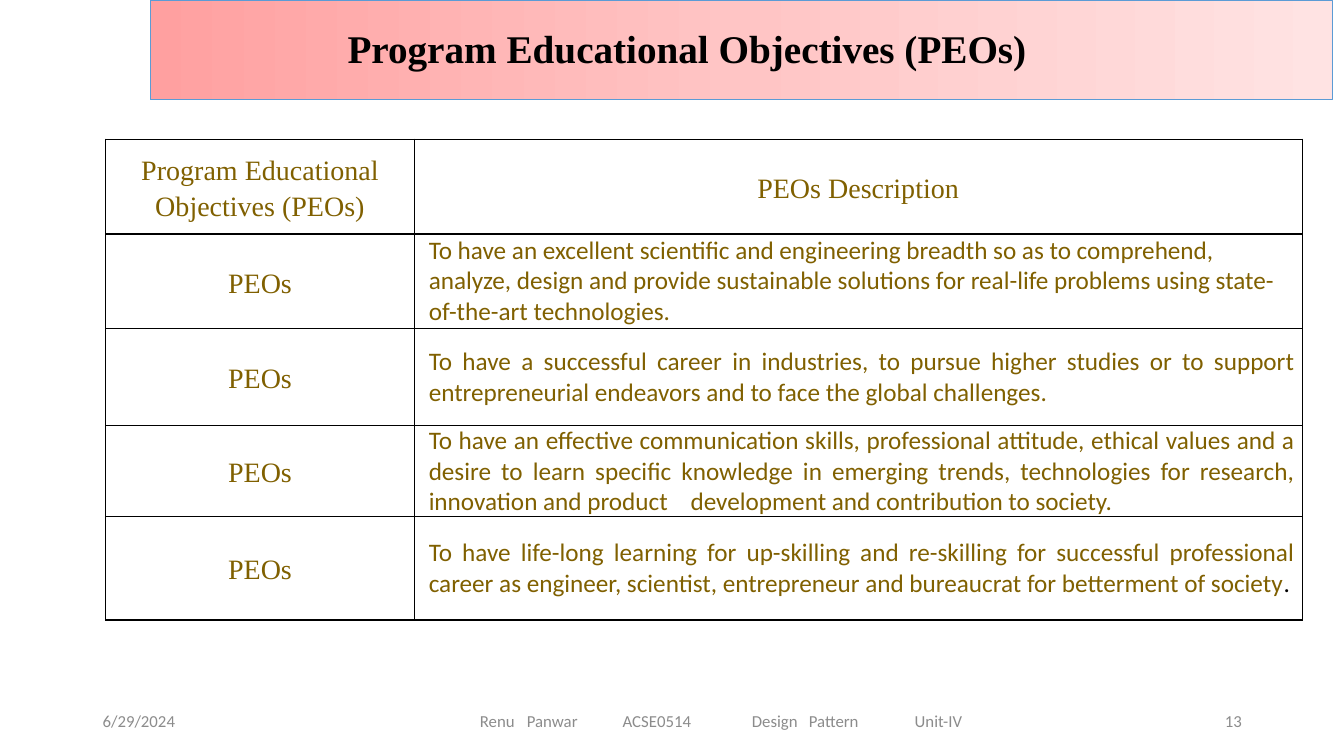
from dataclasses import dataclass

from lxml import etree
from pptx import Presentation
from pptx import util as u
from pptx.dml.color import RGBColor
from pptx.enum import shapes, text
from pptx.oxml.ns import qn


@dataclass
class Theme:
    """Colours, fonts and type sizes of the slide."""
    black: str = "000000"
    white: str = "FFFFFF"
    olive: str = "806000"
    grey: str = "8C8C8C"
    blue: str = "5B9BD5"
    banner: tuple = ((0, "FFA0A0"), (50, "FFC5C5"), (100, "FFE3E3"))
    serif: str = "Times New Roman"
    sans: str = "Calibri"
    title: int = 28
    label: int = 20
    body: int = 18
    footer: int = 12


class Deck:
    """Draws styled elements on one slide, measured in points."""

    def __init__(self, theme, width, height):
        """Open a presentation with one blank slide."""
        self.theme = theme
        self.prs = Presentation()
        self.prs.slide_width, self.prs.slide_height = u.Pt(width), u.Pt(height)
        self.slide = self.prs.slides.add_slide(self.prs.slide_layouts[6])

    def add_runs(self, paragraph, runs, font, size, align, tabs=(), bold=False):
        """Fill a paragraph with (wording, colour) runs."""
        paragraph.alignment = align
        if tabs:
            tab_list = etree.SubElement(paragraph._p.get_or_add_pPr(), qn("a:tabLst"))
            for stop in tabs:
                etree.SubElement(tab_list, qn("a:tab"), pos=str(u.Pt(stop)), algn="l")
        for wording, colour in runs:
            run = paragraph.add_run()
            run.text = wording
            run.font.name, run.font.size, run.font.bold = font, u.Pt(size), bold
            run.font.color.rgb = RGBColor.from_string(colour)

    def banner(self, *place):
        """Draw the gradient band behind the title."""
        band = self.slide.shapes.add_shape(shapes.MSO_SHAPE.RECTANGLE, *map(u.Pt, place))
        band.shadow.inherit = False
        band.fill.gradient()
        band.fill.gradient_angle = 0
        stops = band._element.spPr.find(".//" + qn("a:gsLst"))
        stops.clear()
        for percent, colour in self.theme.banner:
            stop = etree.SubElement(stops, qn("a:gs"), pos=str(percent * 1000))
            etree.SubElement(stop, qn("a:srgbClr"), val=colour)
        band.line.color.rgb = RGBColor.from_string(self.theme.blue)
        band.line.width = u.Pt(0.5)

    def text_box(self, place):
        """Add an empty wrapping text frame."""
        frame = self.slide.shapes.add_textbox(*map(u.Pt, place)).text_frame
        frame.word_wrap = True
        return frame

    def title(self, wording, *place):
        """Set the slide title."""
        frame = self.text_box(place)
        frame.auto_size = text.MSO_AUTO_SIZE.SHAPE_TO_FIT_TEXT
        heading = frame.paragraphs[0]
        heading.line_spacing, heading.space_after = 1.07, u.Pt(8)
        self.add_runs(heading, [(wording, self.theme.black)], self.theme.serif,
                      self.theme.title, text.PP_ALIGN.CENTER, bold=True)

    def footer(self, wording, left, width, align, inset=7.2, tabs=()):
        """Set one part of the footer line."""
        frame = self.text_box((left, 500.4, width, 28.8))
        frame.vertical_anchor = text.MSO_ANCHOR.MIDDLE
        frame.margin_left = u.Pt(inset)
        self.add_runs(frame.paragraphs[0], [(wording, self.theme.grey)], self.theme.sans,
                      self.theme.footer, align, tabs)

    def cell(self, cell, runs, font, size, align, inset=5.2, spacing=1.0, tabs=()):
        """Fill and frame one table cell."""
        cell.vertical_anchor = text.MSO_ANCHOR.MIDDLE
        cell.margin_left, cell.margin_right = u.Pt(inset), u.Pt(5.2)
        cell.margin_top = cell.margin_bottom = 0
        cell.fill.solid()
        cell.fill.fore_color.rgb = RGBColor.from_string(self.theme.white)
        properties = cell._tc.get_or_add_tcPr()
        for position, side in enumerate(("a:lnL", "a:lnR", "a:lnT", "a:lnB")):
            border = etree.Element(qn(side), w=str(u.Pt(1)))
            solid = etree.SubElement(border, qn("a:solidFill"))
            etree.SubElement(solid, qn("a:srgbClr"), val=self.theme.black)
            properties.insert(position, border)
        paragraph = cell.text_frame.paragraphs[0]
        paragraph.line_spacing = spacing
        self.add_runs(paragraph, runs, font, size, align, tabs)

    def objectives(self, headings, label, descriptions, left, top, widths, heights):
        """Build the table of objectives."""
        theme, align = self.theme, text.PP_ALIGN
        table = self.slide.shapes.add_table(
            len(heights), len(widths), u.Pt(left), u.Pt(top),
            u.Pt(sum(widths)), u.Pt(sum(heights))).table
        for column, width in zip(table.columns, widths):
            column.width = u.Pt(width)
        for row, height in zip(table.rows, heights):
            row.height = u.Pt(height)
        labels = [(0, 0, headings[0]), (0, 1, headings[1])]
        labels += [(row, 0, label) for row in range(1, len(heights))]
        for row, column, wording in labels:
            self.cell(table.cell(row, column), [(wording, theme.olive)], theme.serif,
                      theme.label, align.CENTER, spacing=1.15)
        for row, (runs, flow, tabs) in enumerate(descriptions, 1):
            self.cell(table.cell(row, 1), runs, theme.sans, theme.body, flow,
                      inset=10.4, tabs=tabs)


def main():
    """Build and save the slide."""
    theme, align = Theme(), text.PP_ALIGN
    deck = Deck(theme, 960, 540)
    heading = "Program Educational Objectives (PEOs)"
    breadth = ("To have an excellent scientific and engineering breadth so as to comprehend, "
               "analyze, design and provide sustainable solutions for real-life problems "
               "using state-of-the-art technologies.")
    career = ("To have a successful career in industries, to pursue higher studies or to "
              "support entrepreneurial endeavors and to face the global challenges.")
    communication = ("To have an effective communication skills, professional attitude, ethical "
                     "values and a desire to learn specific knowledge in emerging trends, "
                     "technologies for research, innovation and product\tdevelopment and "
                     "contribution to society.")
    learning = ("To have life-long learning for up-skilling and re-skilling for successful "
                "professional career as engineer, scientist, entrepreneur and bureaucrat for "
                "betterment of society")
    descriptions = [
        ([(breadth, theme.olive)], align.LEFT, ()),
        ([(career, theme.olive)], align.JUSTIFY, ()),
        ([(communication, theme.olive)], align.JUSTIFY, (187,)),
        ([(learning, theme.olive), (".", theme.black)], align.JUSTIFY, ()),
    ]

    deck.banner(107.3, 0, 844.6, 71.3)
    deck.footer("6/29/2024", 66.2, 216, align.LEFT)
    deck.footer("Renu\tPanwar\tACSE0514\tDesign\tPattern\tUnit-IV", 318.2, 396, align.LEFT,
                inset=24.6, tabs=(33.6, 102, 194.3, 235, 310.6))
    deck.footer("13", 678.2, 216, align.RIGHT)
    deck.objectives((heading, "PEOs Description"), "PEOs", descriptions, 75.6, 99.4,
                    (220.3, 634.3), (67.7, 67.7, 69.1, 64.1, 74.2))
    deck.title(heading, 195.1, 11.5, 591.1, 41)
    deck.prs.save("out.pptx")


if __name__ == "__main__":
    main()
